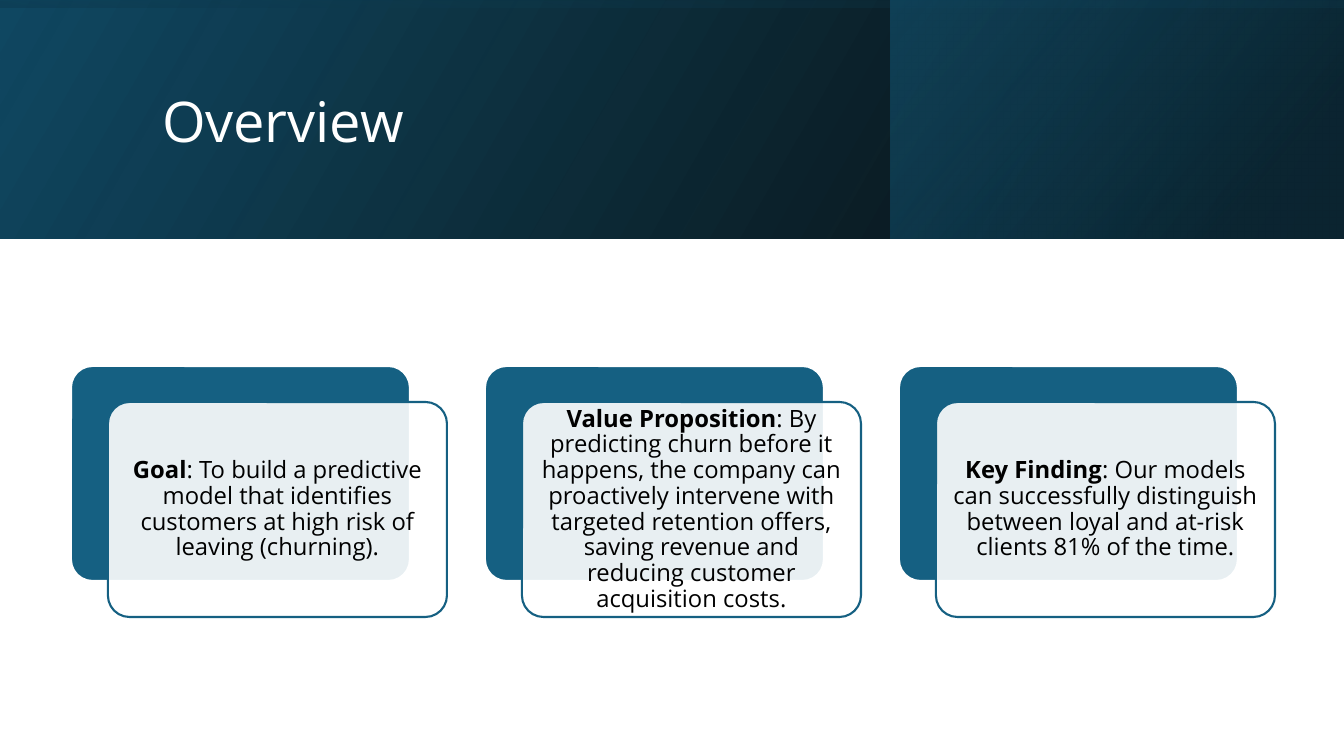
from dataclasses import dataclass
from typing import Any

from lxml import etree
from pptx import Presentation
from pptx import util as u
from pptx.dml import color
from pptx.enum import shapes, text
from pptx.oxml import ns

SCALE = 914400 / 100.8
FONT = "Open Sans"
BLUE, WHITE, BLACK = "156082", "FFFFFF", "000000"
PITCH = 414
LEFT, TOP = 71, 366
WIDTH, HEIGHT = 339, 215
SHIFT, INSET, PAD = 37, 6, 7


@dataclass(frozen=True)
class Box:
    left: int
    top: int
    width: int
    height: int

    def emu(self) -> tuple[int, ...]:
        return tuple(px(n) for n in (self.left, self.top, self.width, self.height))


@dataclass(frozen=True)
class Stop:
    place: int
    tint: str
    alpha: int = 100


@dataclass(frozen=True)
class Band:
    box: Box
    stops: tuple[Stop, Stop]
    angle: int
    turn: int = 0


@dataclass(frozen=True)
class Card:
    head: str
    body: str


BANDS = [
    Band(Box(0, 0, 1344, 239), (Stop(0, BLACK, 96), Stop(100, "104862")), 330),
    Band(Box(891, 0, 452, 239), (Stop(19, "0B3041", 68), Stop(100, BLUE, 48)), 320),
    Band(Box(552, -552, 239, 1344), (Stop(23, "104862", 16), Stop(99, BLACK, 45)), 350, 270),
]

CARDS = [
    Card("Goal", ": To build a predictive model that identifies customers "
         "at high risk of leaving (churning)."),
    Card("Value Proposition", ": By predicting churn before it happens, the company can "
         "proactively intervene with targeted retention offers, saving revenue and "
         "reducing customer acquisition costs."),
    Card("Key Finding", ": Our models can successfully distinguish between loyal "
         "and at-risk clients 81% of the time."),
]


def px(count: int) -> int:
    return round(count * SCALE)


def rgb(tint: str) -> color.RGBColor:
    return color.RGBColor.from_string(tint)


def apply(target: Any, values: dict[str, Any]) -> None:
    for name, value in values.items():
        setattr(target, name, value)


def node(parent: Any, tag: str, **attrs: Any) -> Any:
    return etree.SubElement(parent, ns.qn(tag), {k: str(v) for k, v in attrs.items()})


def fade(paint: Any, alpha: int) -> None:
    if alpha < 100:
        node(paint, "a:alpha", val=alpha * 1000)


def write(para: Any, words: str, size: int, tint: str, bold: bool = False) -> None:
    run = para.add_run()
    run.text = words
    apply(run.font, {"name": FONT, "size": u.Pt(size), "bold": bold})
    run.font.color.rgb = rgb(tint)


def draw_band(slide: Any, band: Band) -> None:
    shape = slide.shapes.add_shape(shapes.MSO_SHAPE.RECTANGLE, *band.box.emu())
    apply(shape, {"rotation": band.turn})
    shape.shadow.inherit = False
    shape.line.fill.background()
    props = shape._element.spPr
    props.find(ns.qn("a:xfrm")).set("flipH", "1")
    grad = etree.Element(ns.qn("a:gradFill"))
    stops = node(grad, "a:gsLst")
    for stop in band.stops:
        mark = node(stops, "a:gs", pos=stop.place * 1000)
        fade(node(mark, "a:srgbClr", val=stop.tint), stop.alpha)
    node(grad, "a:lin", ang=band.angle * 60000, scaled=0)
    props.find(ns.qn("a:prstGeom")).addnext(grad)


def draw_panel(group: Any, box: Box, fill: str, edge: str, alpha: int = 100) -> None:
    shape = group.shapes.add_shape(shapes.MSO_SHAPE.ROUNDED_RECTANGLE, *box.emu())
    shape.adjustments[0] = 0.1
    shape.shadow.inherit = False
    shape.fill.solid()
    shape.fill.fore_color.rgb = rgb(fill)
    fade(shape._element.spPr.find(ns.qn("a:solidFill"))[0], alpha)
    shape.line.color.rgb = rgb(edge)
    shape.line.width = u.Pt(1.5)


def draw_card(group: Any, card: Card, left: int) -> None:
    front = Box(left + SHIFT, TOP + SHIFT - 1, WIDTH, HEIGHT)
    draw_panel(group, Box(left, TOP, WIDTH, HEIGHT), BLUE, WHITE)
    draw_panel(group, front, WHITE, BLUE, 90)
    inner = Box(front.left + INSET, front.top + INSET,
                WIDTH - 2 * INSET, HEIGHT - 2 * INSET)
    frame = group.shapes.add_textbox(*inner.emu()).text_frame
    sides = ("left", "top", "right", "bottom")
    apply(frame, {"word_wrap": True, "vertical_anchor": text.MSO_ANCHOR.MIDDLE,
                  **{f"margin_{side}": px(PAD) for side in sides}})
    para = frame.paragraphs[0]
    apply(para, {"alignment": text.PP_ALIGN.CENTER, "line_spacing": 0.9})
    write(para, card.head, 17, BLACK, True)
    write(para, card.body, 17, BLACK)


def draw_title(slide: Any, words: str) -> None:
    title = slide.shapes.title
    spot = Box(152, 38, 1072, 173).emu()
    apply(title, dict(zip(("left", "top", "width", "height"), spot)))
    frame = title.text_frame
    apply(frame, {"word_wrap": True, "auto_size": text.MSO_AUTO_SIZE.NONE,
                  "vertical_anchor": text.MSO_ANCHOR.MIDDLE})
    para = frame.paragraphs[0]
    apply(para, {"alignment": text.PP_ALIGN.LEFT, "line_spacing": 0.9})
    write(para, words, 40, WHITE)
    slide.shapes._spTree.append(title._element)


def main() -> None:
    deck = Presentation()
    apply(deck, {"slide_width": px(1344), "slide_height": px(756)})
    slide = deck.slides.add_slide(deck.slide_layouts[5])
    for band in BANDS:
        draw_band(slide, band)
    draw_title(slide, "Overview")
    group = slide.shapes.add_group_shape()
    for index, card in enumerate(CARDS):
        draw_card(group, card, LEFT + index * PITCH)
    deck.save("out.pptx")


if __name__ == "__main__":
    main()
